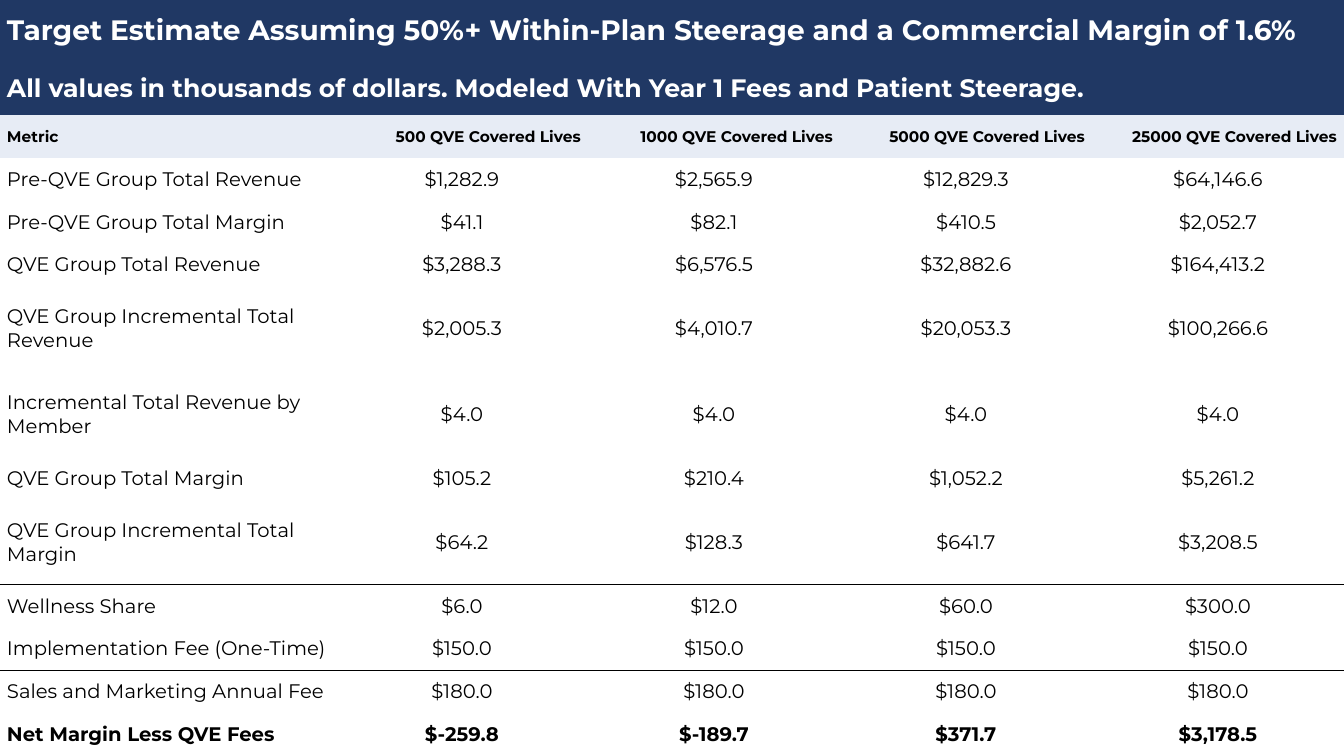
import pptx
import pptx.dml.color
import pptx.enum.text
import pptx.oxml
import pptx.oxml.ns
import pptx.util

Pt = pptx.util.Pt
ALIGN = pptx.enum.text.PP_ALIGN
NAVY, PALE, WHITE, BLACK = "203864", "E7ECF5", "FFFFFF", "000000"
PLAIN_TABLE = "{2D5ABB26-0587-4C30-8999-92F81FD0307C}"

BANNERS = [
    ("Target Estimate Assuming 50%+ Within-Plan Steerage and a Commercial Margin of 1.6%", 20),
    ("All values in thousands of dollars. Modeled With Year 1 Fees and Patient Steerage.", 18),
]
HEADINGS = ["Metric"] + [f"{lives} QVE Covered Lives" for lives in (500, 1000, 5000, 25000)]
METRICS = [
    ("Pre-QVE Group Total Revenue", "$1,282.9", "$2,565.9", "$12,829.3", "$64,146.6"),
    ("Pre-QVE Group Total Margin", "$41.1", "$82.1", "$410.5", "$2,052.7"),
    ("QVE Group Total Revenue", "$3,288.3", "$6,576.5", "$32,882.6", "$164,413.2"),
    ("QVE Group Incremental Total Revenue", "$2,005.3", "$4,010.7", "$20,053.3", "$100,266.6"),
    ("Incremental Total Revenue by Member", "$4.0", "$4.0", "$4.0", "$4.0"),
    ("QVE Group Total Margin", "$105.2", "$210.4", "$1,052.2", "$5,261.2"),
    ("QVE Group Incremental Total Margin", "$64.2", "$128.3", "$641.7", "$3,208.5"),
    ("Wellness Share", "$6.0", "$12.0", "$60.0", "$300.0"),
    ("Implementation Fee (One-Time)", "$150.0", "$150.0", "$150.0", "$150.0"),
    ("Sales and Marketing Annual Fee", "$180.0", "$180.0", "$180.0", "$180.0"),
    ("Net Margin Less QVE Fees", "$-259.8", "$-189.7", "$371.7", "$3,178.5"),
]
TWO_LINE_METRICS = {
    "QVE Group Incremental Total Revenue",
    "Incremental Total Revenue by Member",
    "QVE Group Incremental Total Margin",
}
RULED_BELOW = {"QVE Group Incremental Total Margin", "Implementation Fee (One-Time)"}
RULED_ABOVE = {"Wellness Share", "Sales and Marketing Annual Fee"}
NET_MARGIN = METRICS[-1][0]
LINE_HEIGHT = 30.5


def rgb(hex_colour):
    return pptx.dml.color.RGBColor.from_string(hex_colour)


class EstimateSlide:
    font = "Montserrat"
    inset = 5

    def __init__(self, deck):
        self.slide = deck.slides.add_slide(deck.slide_layouts[6])

    def table(self, widths, heights):
        frame = self.slide.shapes.add_table(
            len(heights), len(widths), 0, 0, Pt(sum(widths)), Pt(sum(heights)))
        grid = frame.table
        grid.first_row = grid.horz_banding = False
        style = grid._tbl.tblPr.find(pptx.oxml.ns.qn("a:tableStyleId"))
        style.text = PLAIN_TABLE
        for column, width in zip(grid.columns, widths):
            column.width = Pt(width)
        for row, height in zip(grid.rows, heights):
            row.height = Pt(height)
        return grid

    def cell(self, cell, text, size, colour=BLACK, bold=False, align=ALIGN.LEFT, fill=None):
        cell.margin_left = cell.margin_right = Pt(self.inset)
        cell.margin_top = cell.margin_bottom = 0
        cell.vertical_anchor = pptx.enum.text.MSO_ANCHOR.MIDDLE
        if fill:
            cell.fill.solid()
            cell.fill.fore_color.rgb = rgb(fill)
        else:
            cell.fill.background()
        paragraph = cell.text_frame.paragraphs[0]
        paragraph.alignment = align
        run = paragraph.add_run()
        run.text = text
        run.font.name = self.font
        run.font.size = Pt(size)
        run.font.bold = bold
        run.font.color.rgb = rgb(colour)

    def rules(self, cell, above, below, colour=BLACK, width=1):
        solid = f'<a:solidFill><a:srgbClr val="{colour}"/></a:solidFill>'
        for position, (side, ruled) in enumerate((("lnT", above), ("lnB", below))):
            line = pptx.oxml.parse_xml(
                f'<a:{side} {pptx.oxml.ns.nsdecls("a")} w="{Pt(width)}">'
                f'{solid if ruled else "<a:noFill/>"}</a:{side}>')
            cell._tc.get_or_add_tcPr().insert(position, line)


def main():
    deck = pptx.Presentation()
    deck.slide_width, deck.slide_height = Pt(960), Pt(540)
    estimate = EstimateSlide(deck)

    metric_heights = [
        LINE_HEIGHT * (2 if metric[0] in TWO_LINE_METRICS else 1) for metric in METRICS]
    grid = estimate.table([240] + [180] * 4, [43.5, 39, LINE_HEIGHT] + metric_heights)

    for row, (banner, size) in enumerate(BANNERS):
        grid.cell(row, 0).merge(grid.cell(row, len(HEADINGS) - 1))
        estimate.cell(grid.cell(row, 0), banner, size, WHITE, True, fill=NAVY)

    heading_row = len(BANNERS)
    for column, heading in enumerate(HEADINGS):
        align = ALIGN.RIGHT if column else ALIGN.LEFT
        estimate.cell(grid.cell(heading_row, column), heading, 11, BLACK, True, align, PALE)

    for row, metric in enumerate(METRICS, heading_row + 1):
        name = metric[0]
        for column, entry in enumerate(metric):
            align = ALIGN.CENTER if column else ALIGN.LEFT
            cell = grid.cell(row, column)
            estimate.cell(cell, entry, 14, bold=name == NET_MARGIN, align=align)
            estimate.rules(cell, name in RULED_ABOVE, name in RULED_BELOW)

    deck.save("out.pptx")


if __name__ == "__main__":
    main()
